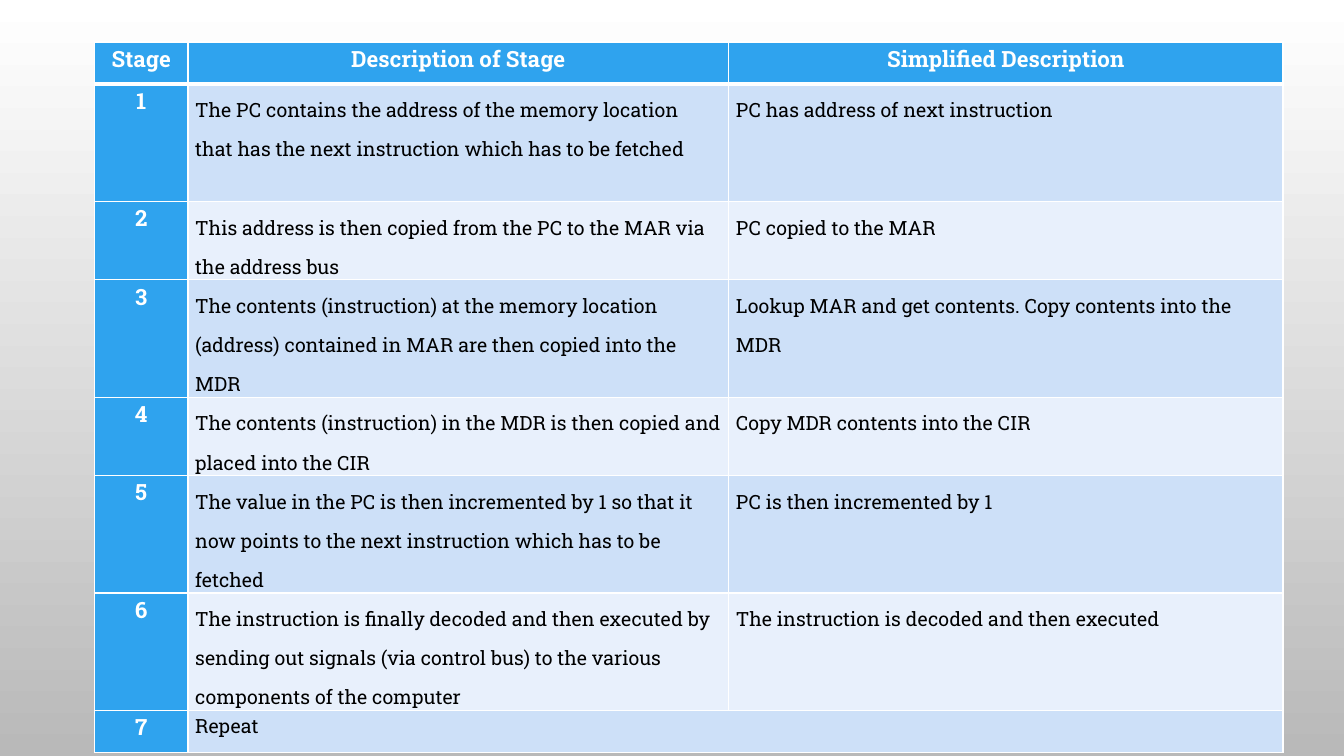
from dataclasses import dataclass

from lxml.etree import SubElement
from pptx import Presentation
from pptx.dml.color import RGBColor
from pptx.enum.text import PP_ALIGN
from pptx.oxml.ns import qn
from pptx.util import Pt

PX = 9525


@dataclass(frozen=True)
class Theme:
    font: str = "Roboto Slab"
    white: str = "FFFFFF"
    grey: str = "B9B9B9"
    black: str = "000000"
    blue: str = "2FA3EE"
    bands: tuple = ("E8F0FC", "CDE0F8")
    head: int = 16
    body: int = 14


THEME = Theme()
HEADS = ("Stage", "Description of Stage", "Simplified Description")
STAGES = (
    ("The PC contains the address of the memory location that has the next instruction which has to be fetched",
     "PC has address of next instruction"),
    ("This address is then copied from the PC to the MAR via the address bus",
     "PC copied to the MAR"),
    ("The contents (instruction) at the memory location (address) contained in MAR are then copied into the MDR",
     "Lookup MAR and get contents. Copy contents into the MDR"),
    ("The contents (instruction) in the MDR is then copied and placed into the CIR",
     "Copy MDR contents into the CIR"),
    ("The value in the PC is then incremented by 1 so that it now points to the next instruction which has to be fetched",
     "PC is then incremented by 1"),
    ("The instruction is finally decoded and then executed by sending out signals (via control bus) to the various components of the computer",
     "The instruction is decoded and then executed"),
    ("Repeat", ""),
)
WIDTHS = (89, 515, 528)
HEIGHTS = (40, 112, 60, 112, 60, 112, 112, 40)


def shade(slide):
    """Fill the background from white at the top to grey."""
    fill = slide.background.fill
    fill.gradient()
    fill.gradient_angle = 270
    for stop, tone in zip(fill.gradient_stops, (THEME.white, THEME.grey)):
        stop.color.rgb = RGBColor.from_string(tone)


def edge(cell, top, bottom):
    """Draw white borders; top and bottom are widths in points."""
    props = cell._tc.get_or_add_tcPr()
    for side, width in (("L", 1), ("R", 1), ("T", top), ("B", bottom)):
        line = SubElement(props, qn(f"a:ln{side}"), w=str(Pt(width)))
        solid = SubElement(line, qn("a:solidFill"))
        SubElement(solid, qn("a:srgbClr"), val=THEME.white)


def style(cell, text, row, key, spacing):
    """Style one cell; key marks the header row and the stage column."""
    edge(cell, 3 if row == 1 else 1, 3 if row == 0 else 1)
    cell.fill.solid()
    cell.fill.fore_color.rgb = RGBColor.from_string(
        THEME.blue if key else THEME.bands[row % 2])
    cell.margin_left = cell.margin_right = 7 * PX
    cell.margin_top = cell.margin_bottom = 0
    cell.text = text
    para = cell.text_frame.paragraphs[0]
    para.alignment = PP_ALIGN.CENTER if key else PP_ALIGN.LEFT
    para.line_spacing = spacing
    para.space_after = Pt(8)
    font = para.font
    font.name = THEME.font
    font.size = Pt(THEME.head if key else THEME.body)
    font.bold = key
    font.color.rgb = RGBColor.from_string(
        THEME.white if key else THEME.black)


def cycle(slide, left, top):
    """Place the table of fetch and execute stages."""
    rows = [HEADS] + [(str(num), *pair) for num, pair in enumerate(STAGES, 1)]
    last = len(rows) - 1
    table = slide.shapes.add_table(
        len(rows), len(HEADS), left * PX, top * PX,
        sum(WIDTHS) * PX, sum(HEIGHTS) * PX).table
    for col, width in zip(table.columns, WIDTHS):
        col.width = width * PX
    for row, height in zip(table.rows, HEIGHTS):
        row.height = height * PX
    for row, texts in enumerate(rows):
        for col, text in enumerate(texts):
            key = row == 0 or col == 0
            spacing = 1.07 if key or row == last else 1.5
            style(table.cell(row, col), text, row, key, spacing)
    table.cell(last, 1).merge(table.cell(last, 2))


def main():
    deck = Presentation()
    deck.slide_width, deck.slide_height = 1280 * PX, 720 * PX
    slide = deck.slides.add_slide(deck.slide_layouts[6])
    shade(slide)
    cycle(slide, 90, 40)
    deck.save("out.pptx")


if __name__ == "__main__":
    main()
